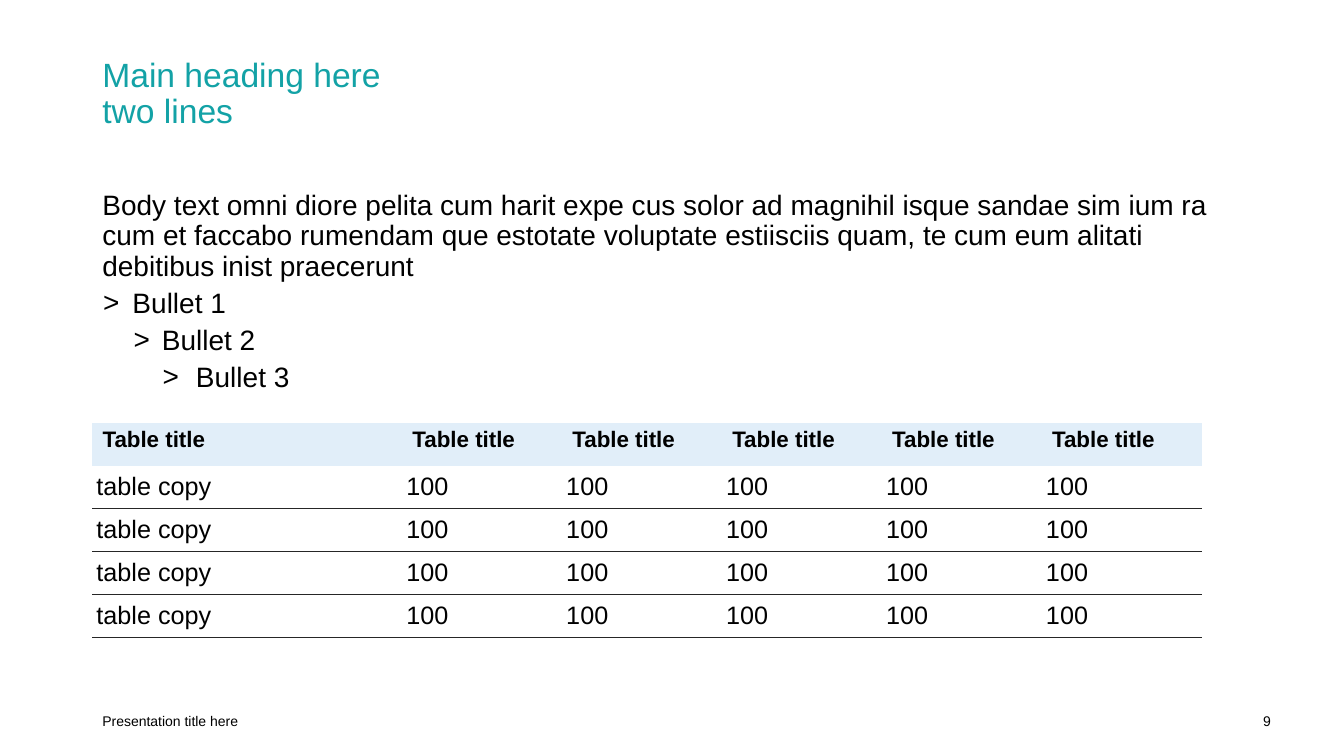
from lxml import etree
from pptx import Presentation
from pptx.dml.color import RGBColor
from pptx.enum import text
from pptx.oxml import ns
from pptx.util import Cm, Pt

TEAL = RGBColor(0x13, 0xA2, 0xA6)
BLACK = RGBColor(0x00, 0x00, 0x00)
PALE_BLUE = RGBColor(0xE1, 0xEE, 0xF9)
RULE_GREY = RGBColor(0x26, 0x26, 0x26)

LEFT = 2.33
NO_STYLE = "{2D5ABB26-0587-4C30-8999-92F81FD0307C}"
HEADING = "Main heading here \vtwo lines"
BODY = (
    "Body text omni diore pelita cum harit expe cus solor ad magnihil isque sandae sim ium ra "
    "cum et faccabo rumendam que estotate voluptate estiisciis quam, te cum eum alitati "
    "debitibus inist praecerunt"
)
BULLETS = [("Bullet 1", 0.76, -0.74), ("Bullet 2", 1.5, -0.71), ("Bullet 3", 2.36, -0.84)]
COLUMN_WIDTHS = [7.81] + [4.03] * 5
ROW_HEIGHT = 1.08
TABLE_ROWS = [["Table title"] * 6] + [["table copy"] + ["100"] * 5] * 4


def style_paragraph(paragraph, size, color=BLACK, bold=False):
    """Set the font of a whole paragraph."""
    font = paragraph.font
    font.name, font.size, font.bold = "Arial", Pt(size), bold
    font.color.rgb = color


def add_text_box(slide, box, content, size, color=BLACK, anchor=text.MSO_ANCHOR.MIDDLE):
    """Add a wrapped text box and return its first paragraph and its frame."""
    frame = slide.shapes.add_textbox(*(Cm(length) for length in box)).text_frame
    frame.word_wrap = True
    frame.vertical_anchor = anchor
    paragraph = frame.paragraphs[0]
    paragraph.text = content
    style_paragraph(paragraph, size, color)
    return paragraph, frame


def add_bullet(frame, content, margin, indent):
    """Append a bulleted paragraph with a hanging indent."""
    paragraph = frame.add_paragraph()
    paragraph.text = content
    properties = paragraph._p.get_or_add_pPr()
    properties.set("marL", str(Cm(margin)))
    properties.set("indent", str(Cm(indent)))
    etree.SubElement(properties, ns.qn("a:buFont"), typeface="Arial")
    etree.SubElement(properties, ns.qn("a:buChar"), char=">")
    paragraph.line_spacing = 0.9
    paragraph.space_before = Pt(5)
    style_paragraph(paragraph, 20)


def add_bottom_rule(cell):
    """Draw a thin line under a table cell."""
    line = etree.Element(ns.qn("a:lnB"), w=str(Pt(0.5)))
    fill = etree.SubElement(line, ns.qn("a:solidFill"))
    etree.SubElement(fill, ns.qn("a:srgbClr"), val=str(RULE_GREY))
    cell._tc.get_or_add_tcPr().insert(0, line)


def style_header_cell(cell):
    """Give a header cell its tint and bold text."""
    cell.fill.solid()
    cell.fill.fore_color.rgb = PALE_BLUE
    style_paragraph(cell.text_frame.paragraphs[0], 16, bold=True)


def style_body_cell(cell):
    """Give a body cell narrow margins and a rule below."""
    cell.fill.background()
    cell.vertical_anchor = text.MSO_ANCHOR.MIDDLE
    cell.margin_left = cell.margin_right = cell.margin_top = cell.margin_bottom = Cm(0.1)
    style_paragraph(cell.text_frame.paragraphs[0], 18)
    add_bottom_rule(cell)


def add_data_table(slide, left, top):
    """Add the table with its header row and ruled body rows."""
    table = slide.shapes.add_table(
        len(TABLE_ROWS), len(COLUMN_WIDTHS), Cm(left), Cm(top),
        Cm(sum(COLUMN_WIDTHS)), Cm(ROW_HEIGHT * len(TABLE_ROWS)),
    ).table
    table.horz_banding = False
    table._tbl.tblPr.find(ns.qn("a:tableStyleId")).text = NO_STYLE
    for column, width in zip(table.columns, COLUMN_WIDTHS):
        column.width = Cm(width)
    for row_index, values in enumerate(TABLE_ROWS):
        table.rows[row_index].height = Cm(ROW_HEIGHT)
        for column_index, value in enumerate(values):
            cell = table.cell(row_index, column_index)
            cell.text = value
            if row_index == 0:
                style_header_cell(cell)
            else:
                style_body_cell(cell)


def main():
    """Build the slide and save it."""
    presentation = Presentation()
    presentation.slide_width, presentation.slide_height = Cm(33.87), Cm(19.05)
    slide = presentation.slides.add_slide(presentation.slide_layouts[6])

    heading, _ = add_text_box(
        slide, (LEFT, 1.04, 29.21, 2.39), HEADING, 24, TEAL, text.MSO_ANCHOR.BOTTOM)
    heading.line_spacing = 0.9

    body, frame = add_text_box(
        slide, (LEFT, 4.7, 29.21, 6.27), BODY, 20, anchor=text.MSO_ANCHOR.TOP)
    body.line_spacing = 0.9
    body.space_before = Pt(10)
    for content, margin, indent in BULLETS:
        add_bullet(frame, content, margin, indent)

    add_data_table(slide, LEFT, 10.65)

    add_text_box(slide, (LEFT, 17.65, 20.32, 1.02), "Presentation title here", 10)
    number, _ = add_text_box(slide, (24.66, 17.65, 7.62, 1.02), "9", 10)
    number.alignment = text.PP_ALIGN.RIGHT

    presentation.save("out.pptx")


if __name__ == "__main__":
    main()
